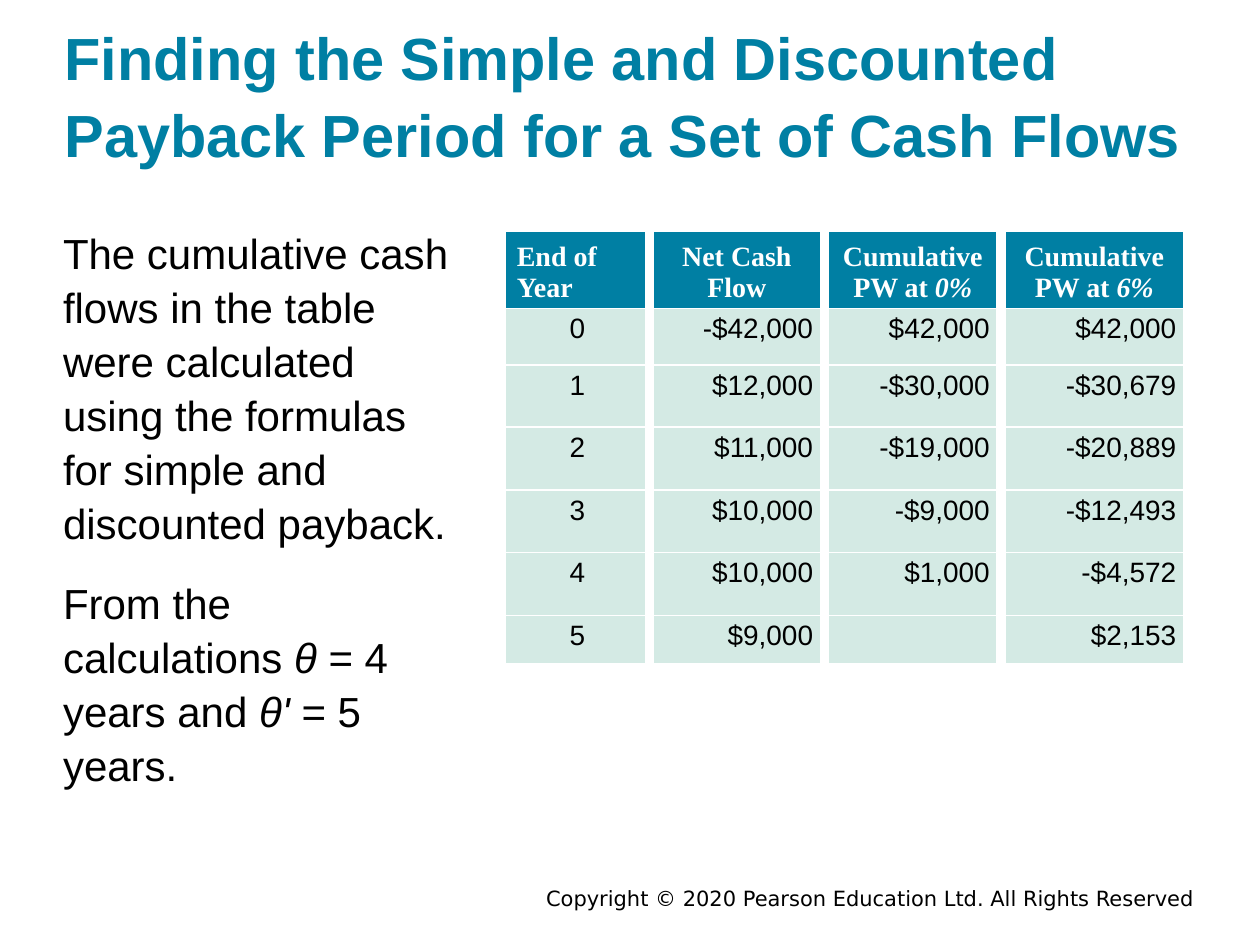
"""Build the slide on simple and discounted payback periods."""
from lxml.etree import SubElement
from pptx import Presentation
from pptx.dml.color import RGBColor
from pptx.enum.text import MSO_ANCHOR, MSO_AUTO_SIZE, PP_ALIGN
from pptx.oxml.ns import qn
from pptx.util import Cm, Pt

TEAL, MINT, WHITE, BLACK = "007FA3", "D4EAE4", "FFFFFF", "000000"
TITLE = "Finding the Simple and Discounted Payback Period for a Set of Cash Flows"
COPYRIGHT = "Copyright © 2020 Pearson Education Ltd. All Rights Reserved"
BODY = [
    [("The cumulative cash flows in the table were calculated using the "
      "formulas for simple and discounted payback.", False)],
    [("From the calculations ", False), ("θ", True), (" = 4 years and ", False),
     ("θ'", True), (" = 5 years.", False)],
]
HEADINGS = [
    [("End of Year", False)],
    [("Net Cash Flow", False)],
    [("Cumulative PW at ", False), ("0%", True)],
    [("Cumulative PW at ", False), ("6%", True)],
]
CASH_FLOWS = [
    ("0", "-$42,000", "$42,000", "$42,000"),
    ("1", "$12,000", "-$30,000", "-$30,679"),
    ("2", "$11,000", "-$19,000", "-$20,889"),
    ("3", "$10,000", "-$9,000", "-$12,493"),
    ("4", "$10,000", "$1,000", "-$4,572"),
    ("5", "$9,000", "", "$2,153"),
]
COLUMN_WIDTHS = [2.9, 3.53, 3.56, 3.76]
ROW_HEIGHTS = [1.55, 1.14, 1.25, 1.27, 1.25, 1.27, 0.97]


def color(target, value):
    target.rgb = RGBColor.from_string(value)


def place(box, left, top, width, height):
    box.left, box.top, box.width, box.height = map(Cm, (left, top, width, height))
    frame = box.text_frame
    frame.word_wrap = True
    frame.auto_size = MSO_AUTO_SIZE.NONE
    frame.margin_left = frame.margin_right = frame.margin_top = frame.margin_bottom = 0
    return frame


def write(para, spans, size, value, font="Arial", bold=False, align=PP_ALIGN.LEFT):
    para.alignment = align
    para.font.size = Pt(size)
    for text, italic in spans:
        span = para.add_run()
        span.text = text
        span.font.name, span.font.size = font, Pt(size)
        span.font.bold, span.font.italic = bold, italic
        color(span.font.color, value)


def remove_bullet(para):
    properties = para._p.get_or_add_pPr()
    properties.set("marL", "0")
    properties.set("indent", "0")
    SubElement(properties, qn("a:buNone"))


def add_borders(cell, widths):
    properties = cell._tc.get_or_add_tcPr()
    for side, width in widths.items():
        line = SubElement(properties, qn(f"a:{side}"), w=str(Pt(width)))
        fill = SubElement(line, qn("a:solidFill"))
        SubElement(fill, qn("a:srgbClr"), val=WHITE)


def format_cell(cell, column, fill):
    cell.margin_left = cell.margin_right = Cm(0.23)
    cell.margin_top = cell.margin_bottom = Cm(0.1)
    left = {"lnL": 6} if column else {}
    add_borders(cell, {**left, "lnR": 6, "lnT": 0.75, "lnB": 0.75})
    cell.fill.solid()
    color(cell.fill.fore_color, fill)


def add_cash_flow_table(page):
    size = len(ROW_HEIGHTS), len(COLUMN_WIDTHS)
    table = page.shapes.add_table(*size, Cm(10.19), Cm(4.67), Cm(sum(COLUMN_WIDTHS)),
                                  Cm(sum(ROW_HEIGHTS))).table
    table.first_row = table.horz_banding = False
    for column, width in zip(table.columns, COLUMN_WIDTHS):
        column.width = Cm(width)
    for row, height in zip(table.rows, ROW_HEIGHTS):
        row.height = Cm(height)
    for column, spans in enumerate(HEADINGS):
        cell = table.cell(0, column)
        format_cell(cell, column, TEAL)
        cell.vertical_anchor = MSO_ANCHOR.BOTTOM
        write(cell.text_frame.paragraphs[0], spans, 16, WHITE, "Times New Roman", True,
              PP_ALIGN.CENTER if column else PP_ALIGN.LEFT)
    for row, values in enumerate(CASH_FLOWS, 1):
        for column, value in enumerate(values):
            cell = table.cell(row, column)
            format_cell(cell, column, MINT)
            write(cell.text_frame.paragraphs[0], [(value, False)] if value else [], 16, BLACK,
                  align=PP_ALIGN.RIGHT if column else PP_ALIGN.CENTER)


def main():
    deck = Presentation()
    deck.slide_width, deck.slide_height = Cm(25.4), Cm(19.05)
    page = deck.slides.add_slide(deck.slide_layouts[1])

    title = place(page.shapes.title, 1.3, 0.46, 22.86, 2.95)
    title.vertical_anchor = MSO_ANCHOR.BOTTOM
    title.paragraphs[0].line_spacing = 1.07
    write(title.paragraphs[0], [(TITLE, False)], 34, TEAL, bold=True)

    body = place(page.placeholders[1], 1.27, 4.52, 7.82, 10.8)
    for index, spans in enumerate(BODY):
        para = body.add_paragraph() if index else body.paragraphs[0]
        remove_bullet(para)
        para.line_spacing = 1.07
        para.space_before = Pt(15 if index else 0)
        write(para, spans, 24, BLACK)

    add_cash_flow_table(page)

    footer = place(page.shapes.add_textbox(0, 0, 0, 0), 7.21, 17.86, 16.87, 0.76)
    write(footer.paragraphs[0], [(COPYRIGHT, False)], 12, BLACK, "DejaVu Sans",
          align=PP_ALIGN.RIGHT)
    deck.save("out.pptx")


if __name__ == "__main__":
    main()
